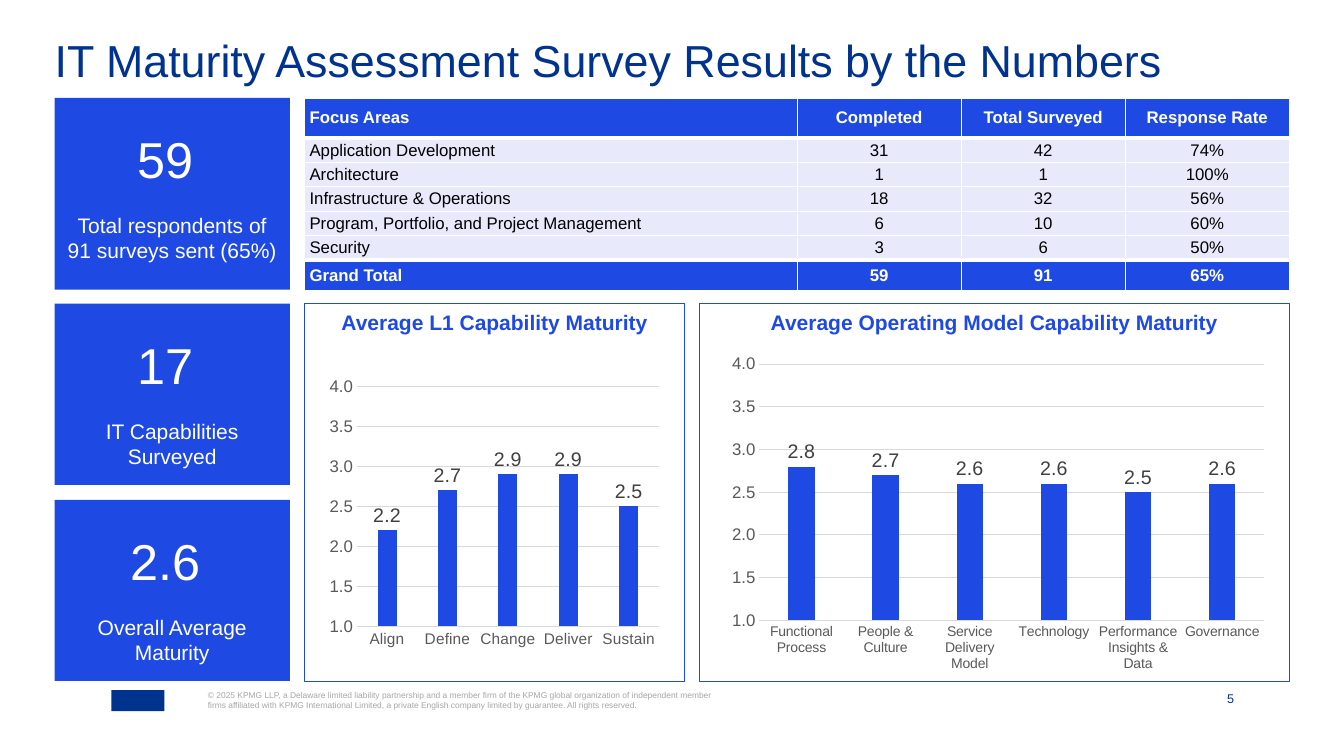
"""Build the IT maturity survey results slide."""
from dataclasses import dataclass

from lxml import etree
from pptx import Presentation
from pptx.chart.data import CategoryChartData
from pptx.dml.color import RGBColor
from pptx.enum.chart import XL_CHART_TYPE, XL_LABEL_POSITION, XL_TICK_MARK
from pptx.enum.shapes import MSO_SHAPE
from pptx.enum.text import MSO_ANCHOR, MSO_AUTO_SIZE, PP_ALIGN
from pptx.oxml.ns import qn
from pptx.util import Pt

LEFT, CENTER, RIGHT = PP_ALIGN.LEFT, PP_ALIGN.CENTER, PP_ALIGN.RIGHT
TOP, MIDDLE, BOTTOM = MSO_ANCHOR.TOP, MSO_ANCHOR.MIDDLE, MSO_ANCHOR.BOTTOM
COLUMNS = XL_CHART_TYPE.COLUMN_CLUSTERED
OUTSIDE_END = XL_LABEL_POSITION.OUTSIDE_END
NO_TICK = XL_TICK_MARK.NONE


@dataclass(frozen=True)
class Theme:
    """Hold the colours, font and type sizes."""
    font: str = "Arial"
    navy: RGBColor = RGBColor(0x00, 0x33, 0x8D)
    blue: RGBColor = RGBColor(0x1E, 0x49, 0xE2)
    pale: RGBColor = RGBColor(0xE8, 0xE9, 0xFA)
    white: RGBColor = RGBColor(0xFF, 0xFF, 0xFF)
    black: RGBColor = RGBColor(0x00, 0x00, 0x00)
    grid: RGBColor = RGBColor(0xD9, 0xD9, 0xD9)
    axis: RGBColor = RGBColor(0x59, 0x59, 0x59)
    label: RGBColor = RGBColor(0x40, 0x40, 0x40)
    legal: RGBColor = RGBColor(0xA6, 0xA6, 0xA6)
    title_size: int = 32
    figure_size: int = 36
    caption_size: int = 15
    table_size: int = 12
    axis_size: int = 12
    label_size: int = 14
    number_size: int = 9
    legal_size: int = 6


theme = Theme()


def write(frame, text, size, color, bold=False, align=LEFT, anchor=TOP,
          insets=(0, 0, 0, 0), before=0, spacing=None):
    """Add one formatted paragraph to a text frame."""
    frame.word_wrap = True
    frame.auto_size = MSO_AUTO_SIZE.NONE
    frame.vertical_anchor = anchor
    (frame.margin_left, frame.margin_top,
     frame.margin_right, frame.margin_bottom) = map(Pt, insets)
    para = frame.add_paragraph() if frame.text else frame.paragraphs[0]
    para.alignment = align
    if before:
        para.space_before = Pt(before)
    if spacing:
        para.line_spacing = spacing
    span = para.add_run()
    span.text = text
    style_font(span.font, size, color, bold)


def style_font(font, size, color, bold=False):
    """Set the typeface, size, colour and weight of a font."""
    font.name = theme.font
    font.size = Pt(size)
    font.bold = bold
    font.color.rgb = color


deck = Presentation()
deck.slide_width, deck.slide_height = Pt(960), Pt(540)
page = deck.slides.add_slide(deck.slide_layouts[5])

title = page.shapes.title
title.left, title.top, title.width, title.height = map(Pt, (39, 34, 882, 35))
write(title.text_frame, "IT Maturity Assessment Survey Results by the Numbers",
      theme.title_size, theme.navy, spacing=0.7)

number = page.shapes.add_textbox(Pt(862), Pt(493), Pt(19.5), Pt(11.5))
write(number.text_frame, "5", theme.number_size, theme.navy,
      align=RIGHT, anchor=BOTTOM)
legal = page.shapes.add_textbox(Pt(148.5), Pt(493), Pt(367), Pt(14.5))
write(legal.text_frame,
      "© 2025 KPMG LLP, a Delaware limited liability partnership and a member "
      "firm of the KPMG global organization of independent member firms "
      "affiliated with KPMG International Limited, a private English company "
      "limited by guarantee. All rights reserved.",
      theme.legal_size, theme.legal)

badge = page.shapes.add_shape(MSO_SHAPE.RECTANGLE, Pt(79.5), Pt(493), Pt(38), Pt(15))
badge.shadow.inherit = False
badge.fill.solid()
badge.fill.fore_color.rgb = theme.navy
badge.line.fill.background()

cards = [
    (70, 137, "59 ", "Total respondents of 91 surveys sent (65%)"),
    (217, 129.5, "17 ", "IT Capabilities Surveyed"),
    (357, 129.5, "2.6 ", "Overall Average Maturity"),
]
for top, height, figure, caption in cards:
    card = page.shapes.add_shape(MSO_SHAPE.RECTANGLE, Pt(39), Pt(top), Pt(168), Pt(height))
    card.shadow.inherit = False
    card.fill.solid()
    card.fill.fore_color.rgb = theme.blue
    card.line.fill.background()
    card_insets = (7.2, 21.6, 7.2, 7.2)
    write(card.text_frame, figure, theme.figure_size, theme.white,
          align=CENTER, insets=card_insets)
    write(card.text_frame, caption, theme.caption_size, theme.white,
          align=CENTER, insets=card_insets, before=17)

survey_rows = [
    ("Focus Areas", "Completed", "Total Surveyed", "Response Rate"),
    ("Application Development", "31", "42", "74%"),
    ("Architecture", "1", "1", "100%"),
    ("Infrastructure & Operations", "18", "32", "56%"),
    ("Program, Portfolio, and Project Management", "6", "10", "60%"),
    ("Security", "3", "6", "50%"),
    ("Grand Total", "59", "91", "65%"),
]
last = len(survey_rows) - 1
survey = page.shapes.add_table(len(survey_rows), 4, Pt(217.5), Pt(70),
                               Pt(703.5), Pt(137.5)).table
survey.horz_banding = False
for column, width in zip(survey.columns, (351.9, 117.2, 117.2, 117.2)):
    column.width = Pt(width)
for row_index, values in enumerate(survey_rows):
    strong = row_index in (0, last)
    survey.rows[row_index].height = Pt({0: 28.5, last: 21.5}.get(row_index, 17.5))
    borders = {
        "lnL": 1,
        "lnR": 1,
        "lnT": 3 if row_index in (1, last) else 1,
        "lnB": 3 if row_index in (0, last - 1) else 1,
    }
    for column_index, value in enumerate(values):
        cell = survey.cell(row_index, column_index)
        cell.margin_left = cell.margin_right = Pt(3.6)
        cell.margin_top = cell.margin_bottom = Pt(1.4)
        cell.vertical_anchor = MIDDLE
        para = cell.text_frame.paragraphs[0]
        para.alignment = CENTER if column_index else LEFT
        span = para.add_run()
        span.text = value
        style_font(span.font, theme.table_size,
                   theme.white if strong else theme.black, strong)
        properties = cell._tc.get_or_add_tcPr()
        for side, weight in borders.items():
            line = etree.SubElement(properties, qn(f"a:{side}"), w=str(Pt(weight)))
            paint = etree.SubElement(line, qn("a:solidFill"))
            etree.SubElement(paint, qn("a:srgbClr"), val=str(theme.white))
        cell.fill.solid()
        cell.fill.fore_color.rgb = theme.blue if strong else theme.pale

panels = [
    ("Average L1 Capability Maturity", 217.5, 271.5, (230.5, 265.5, 245, 201.5), 11,
     {"Align": 2.2, "Define": 2.7, "Change": 2.9, "Deliver": 2.9, "Sustain": 2.5}),
    ("Average Operating Model Capability Maturity", 499.5, 421.5, (515, 249, 396, 235.5), 10,
     {"Functional Process": 2.8, "People & Culture": 2.7,
      "Service Delivery Model": 2.6, "Technology": 2.6,
      "Performance Insights & Data": 2.5, "Governance": 2.6}),
]
for heading, left, width, chart_area, category_size, scores in panels:
    panel = page.shapes.add_shape(MSO_SHAPE.RECTANGLE, Pt(left), Pt(217), Pt(width), Pt(270))
    panel.shadow.inherit = False
    panel.fill.background()
    panel.line.color.rgb = theme.blue
    panel.line.width = Pt(1)
    write(panel.text_frame, heading, theme.caption_size, theme.blue, bold=True,
          align=CENTER, insets=(4.3, 4.3, 4.3, 4.3))

    data = CategoryChartData(number_format="0.0")
    data.categories = list(scores)
    data.add_series("Series 1", list(scores.values()))
    chart = page.shapes.add_chart(COLUMNS, *map(Pt, chart_area), data).chart
    chart.has_title = False
    chart.has_legend = False
    style_font(chart.font, 10, theme.black)

    categories, scale = chart.category_axis, chart.value_axis
    style_font(categories.tick_labels.font, category_size, theme.axis)
    style_font(scale.tick_labels.font, theme.axis_size, theme.axis)
    for axis in (categories, scale):
        axis.major_tick_mark = axis.minor_tick_mark = NO_TICK
    scale.minimum_scale, scale.maximum_scale, scale.major_unit = 1, 4, 0.5
    scale.tick_labels.number_format = "0.0"
    scale.tick_labels.number_format_is_linked = False
    scale.format.line.fill.background()
    for line in (categories.format.line, scale.major_gridlines.format.line):
        line.color.rgb = theme.grid
        line.width = Pt(0.75)

    plot = chart.plots[0]
    plot.vary_by_categories = False
    plot.gap_width, plot.overlap = 219, -27
    bars = plot.series[0]
    bars.format.fill.solid()
    bars.format.fill.fore_color.rgb = theme.blue
    labels = bars.data_labels
    labels.show_value = True
    labels.position = OUTSIDE_END
    labels.number_format = "0.0"
    labels.number_format_is_linked = False
    style_font(labels.font, theme.label_size, theme.label)

deck.save("out.pptx")
